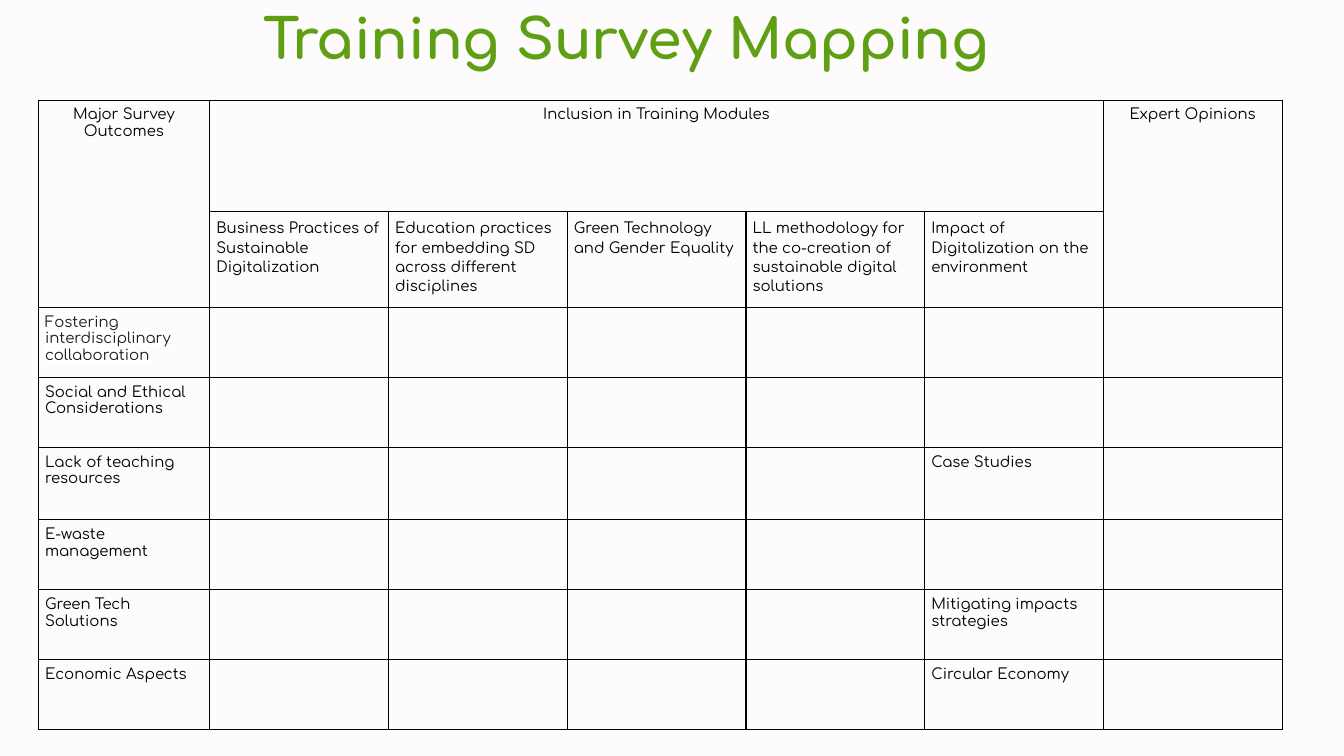
from lxml import etree
from pptx import Presentation
from pptx.dml.color import RGBColor
from pptx.enum.text import MSO_AUTO_SIZE, PP_ALIGN
from pptx.oxml.ns import qn
from pptx.util import Inches, Pt

CENTER, LEFT = PP_ALIGN.CENTER, PP_ALIGN.LEFT
FONT = "Comfortaa"
BACKGROUND, GREEN, BLACK, CHARCOAL, WHITE = "FDFBFB", "5F9F13", "000000", "1A1C1E", "FFFFFF"

TITLE = "Training Survey Mapping"
OUTCOMES_HEADING = "Major Survey Outcomes"
MODULES_HEADING = "Inclusion in Training Modules"
OPINIONS_HEADING = "Expert Opinions"
MODULES = [
    "Business Practices of Sustainable Digitalization",
    "Education practices for embedding SD across different disciplines",
    "Green Technology and Gender Equality",
    "LL methodology for the co-creation of sustainable digital solutions",
    "Impact of Digitalization on the environment",
]
# Survey outcome, and its entry under the last module
OUTCOMES = [
    ("Fostering interdisciplinary collaboration", ""),
    ("Social and Ethical Considerations", ""),
    ("Lack of teaching resources", "Case Studies"),
    ("E-waste management", ""),
    ("Green Tech Solutions", "Mitigating impacts strategies"),
    ("Economic Aspects", "Circular Economy"),
]
LAST_MODULE = len(MODULES)
OPINIONS_COLUMN = LAST_MODULE + 1
HEADER_ROWS = 2
COLUMN_WIDTHS = [2.55] + [2.66] * OPINIONS_COLUMN
ROW_HEIGHTS = [1.66, 1.37, 1.04, 1.04, 1.08, 1.04, 1.04, 1.04]


def color(value):
    return RGBColor.from_string(value)


def style_span(span, size, ink, bold=False):
    span.font.name = FONT
    span.font.size = Pt(size)
    span.font.bold = bold
    span.font.color.rgb = color(ink)


def highlight(span, value):
    mark = etree.Element(qn("a:highlight"))
    etree.SubElement(mark, qn("a:srgbClr"), val=value)
    span.font._element.find(qn("a:solidFill")).addnext(mark)


def add_borders(cell, value, width):
    properties = cell._tc.get_or_add_tcPr()
    for index, side in enumerate(("lnL", "lnR", "lnT", "lnB")):
        line = etree.Element(qn(f"a:{side}"), w=str(Pt(width)))
        fill = etree.SubElement(line, qn("a:solidFill"))
        etree.SubElement(fill, qn("a:srgbClr"), val=value)
        properties.insert(index, line)


def write_cell(cell, text, align=LEFT, spacing=None, ink=BLACK):
    cell.text_frame.text = text
    para = cell.text_frame.paragraphs[0]
    para.alignment = align
    para.line_spacing = spacing
    for span in para.runs:
        style_span(span, 16, ink)


def add_title(page):
    box = page.shapes.add_textbox(Inches(0.22), Inches(0.11), Inches(18.2), Inches(0.99))
    frame = box.text_frame
    frame.word_wrap = True
    frame.auto_size = MSO_AUTO_SIZE.SHAPE_TO_FIT_TEXT
    frame.margin_left = frame.margin_right = frame.margin_top = frame.margin_bottom = 0
    frame.text = TITLE
    para = frame.paragraphs[0]
    para.alignment = CENTER
    para.line_spacing = 0.99
    style_span(para.runs[0], 59.2, GREEN, bold=True)


def add_grid(page):
    """Add the empty, bordered table."""
    table = page.shapes.add_table(
        len(ROW_HEIGHTS), len(COLUMN_WIDTHS), Inches(0.57), Inches(1.49),
        Inches(sum(COLUMN_WIDTHS)), Inches(sum(ROW_HEIGHTS))).table
    table.first_row = table.horz_banding = False
    for column, width in zip(table.columns, COLUMN_WIDTHS):
        column.width = Inches(width)
    for row, height in zip(table.rows, ROW_HEIGHTS):
        row.height = Inches(height)
    for cell in table.iter_cells():
        cell.margin_left = cell.margin_right = Inches(0.1)
        cell.margin_top = cell.margin_bottom = Inches(0.1)
        cell.fill.background()
        add_borders(cell, BLACK, 1.5)
    return table


def fill_table(table):
    table.cell(0, 0).merge(table.cell(1, 0))
    table.cell(0, 1).merge(table.cell(0, LAST_MODULE))
    table.cell(0, OPINIONS_COLUMN).merge(table.cell(1, OPINIONS_COLUMN))

    headings = [(0, OUTCOMES_HEADING), (1, MODULES_HEADING), (OPINIONS_COLUMN, OPINIONS_HEADING)]
    for column, text in headings:
        write_cell(table.cell(0, column), text, align=CENTER)
    for column, text in enumerate(MODULES, start=1):
        write_cell(table.cell(1, column), text, spacing=1.15)
    for row, (outcome, entry) in enumerate(OUTCOMES, start=HEADER_ROWS):
        first = row == HEADER_ROWS
        write_cell(table.cell(row, 0), outcome, ink=CHARCOAL if first else BLACK)
        if entry:
            write_cell(table.cell(row, LAST_MODULE), entry)
    highlight(table.cell(HEADER_ROWS, 0).text_frame.paragraphs[0].runs[0], WHITE)


def main():
    deck = Presentation()
    deck.slide_width, deck.slide_height = Inches(20), Inches(11.25)
    page = deck.slides.add_slide(deck.slide_layouts[6])
    page.background.fill.solid()
    page.background.fill.fore_color.rgb = color(BACKGROUND)
    add_title(page)
    fill_table(add_grid(page))
    deck.save("out.pptx")


if __name__ == "__main__":
    main()
